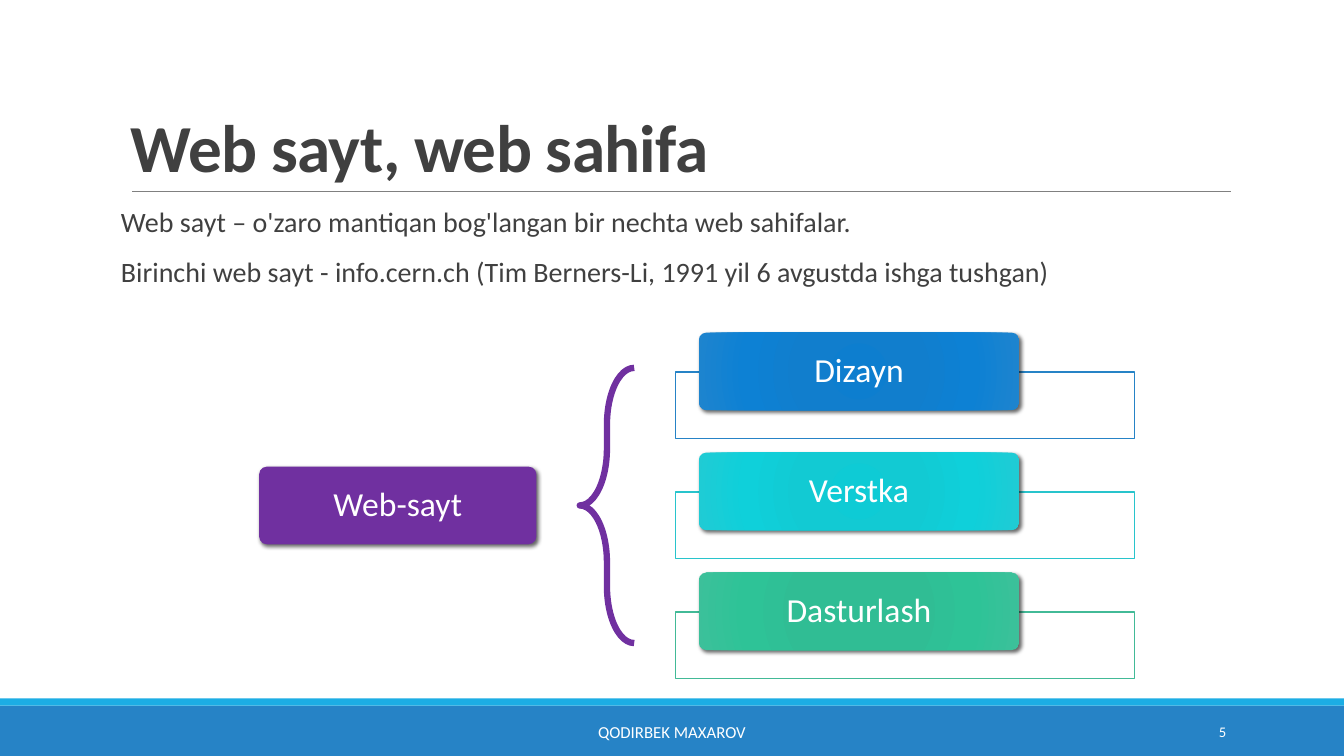
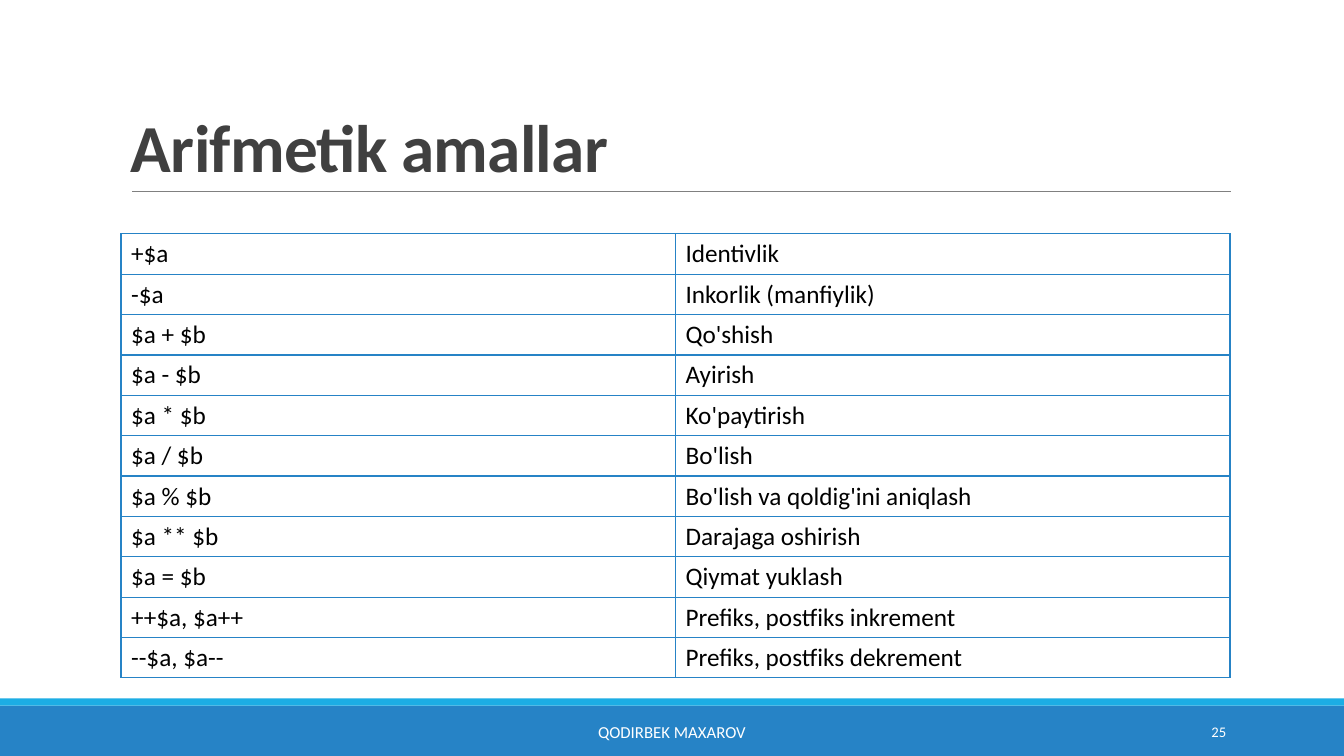
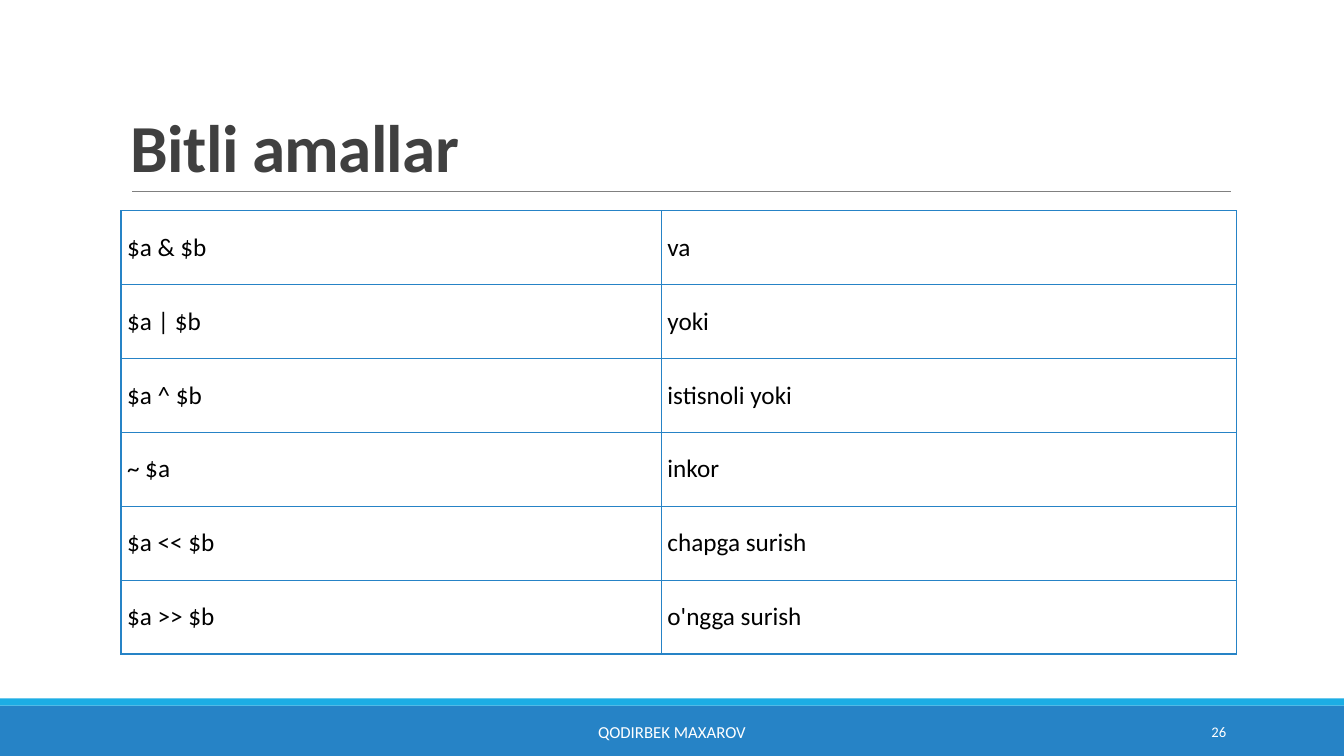
from lxml import etree
from pptx import Presentation
from pptx.dml.color import RGBColor
from pptx.enum.shapes import MSO_CONNECTOR as Link, MSO_SHAPE as Kind
from pptx.enum.text import MSO_ANCHOR as Anchor, PP_ALIGN as Align
from pptx.oxml import parse_xml
from pptx.oxml.ns import qn
from pptx.util import Inches, Pt

WIDE, HIGH = 13.33, 7.5
LEFT, SPAN = 1.2, 11
FONT = "Calibri"
BLUE = RGBColor(0x26, 0x83, 0xC6)
SKY = RGBColor(0x1C, 0xAD, 0xE4)
TEAL = RGBColor(0x28, 0xC4, 0xCC)
GREEN = RGBColor(0x42, 0xBA, 0x97)
PURPLE = RGBColor(0x70, 0x30, 0xA0)
GRAY = RGBColor(0x80, 0x80, 0x80)
DARK = RGBColor(0x40, 0x40, 0x40)
BLACK = RGBColor(0, 0, 0)
WHITE = RGBColor(255, 255, 255)
NS = 'xmlns:a="http://schemas.openxmlformats.org/drawingml/2006/main"'

AUTHOR = "QODIRBEK MAXAROV"
SITE = {
    "title": "Web sayt, web sahifa",
    "page": 5,
    "body": [
        "Web sayt – o'zaro mantiqan bog'langan bir nechta web sahifalar.",
        "Birinchi web sayt - info.cern.ch (Tim Berners-Li, 1991 yil 6 avgustda ishga tushgan)",
    ],
    "root": "Web-sayt",
    # label, frame colour, gradient colours from the centre outwards
    "parts": [
        ("Dizayn", BLUE, ("0D7ECF", "117ECD", "0D81D4", "1E84CE")),
        ("Verstka", TEAL, ("0ECBD5", "12CAD3", "0FD0DA", "20CBD4")),
        ("Dasturlash", GREEN, ("2DBE94", "30BD94", "2EC397", "3CC09A")),
    ],
}
STOPS = (0, 34, 70, 100)
TABLES = [
    {
        "title": "Arifmetik amallar", "page": 25,
        "top": 2.32, "cols": (5.5, 5.5), "row": 0.4, "pad": (0.1, 0.05),
        "rows": [
            ("+$a", "Identivlik"),
            ("-$a", "Inkorlik (manfiylik)"),
            ("$a + $b", "Qo'shish"),
            ("$a - $b", "Ayirish"),
            ("$a * $b", "Ko'paytirish"),
            ("$a / $b", "Bo'lish"),
            ("$a % $b", "Bo'lish va qoldig'ini aniqlash"),
            ("$a ** $b", "Darajaga oshirish"),
            ("$a = $b", "Qiymat yuklash"),
            ("++$a, $a++", "Prefiks, postfiks inkrement"),
            ("--$a, $a--", "Prefiks, postfiks dekrement"),
        ],
    },
    {
        "title": "Bitli amallar", "page": 26,
        "top": 2.09, "cols": (5.36, 5.7), "row": 4.4 / 6, "pad": (0.06, 0.03),
        "rows": [
            ("$a & $b", "va"),
            ("$a | $b", "yoki"),
            ("$a ^ $b", "istisnoli yoki"),
            ("~ $a", "inkor"),
            ("$a << $b", "chapga surish"),
            ("$a >> $b", "o'ngga surish"),
        ],
    },
]


def style(para, size, color, align=Align.LEFT, lead=None):
    font = para.font
    font.name, font.size, font.color.rgb = FONT, Pt(size), color
    para.alignment = align
    if lead:
        para.line_spacing = lead


def write(shape, lines, size, color, align=Align.LEFT, lead=None,
          anchor=Anchor.MIDDLE, pad=(0.1, 0.05)):
    """Fill a shape with styled lines and return its paragraphs."""
    frame = shape.text_frame
    frame.word_wrap, frame.vertical_anchor = True, anchor
    frame.margin_left = frame.margin_right = Inches(pad[0])
    frame.margin_top = frame.margin_bottom = Inches(pad[1])
    frame.text = "\n".join(lines)
    for para in frame.paragraphs:
        style(para, size, color, align, lead)
    return frame.paragraphs


def text(slide, box, *args, **opts):
    shape = slide.shapes.add_textbox(*map(Inches, box))
    return write(shape, *args, **opts)


def draw(slide, kind, box, fill=None, line=None, weight=1):
    shape = slide.shapes.add_shape(kind, *map(Inches, box))
    shape.shadow.inherit = False
    if fill is None:
        shape.fill.background()
    else:
        shape.fill.solid()
        shape.fill.fore_color.rgb = fill
    if line is None:
        shape.line.fill.background()
    else:
        shape.line.color.rgb, shape.line.width = line, Pt(weight)
    return shape


def pill(slide, box, label, fill=None, grad=None):
    """Rounded label with a soft shadow and a plain or radial fill."""
    shape = draw(slide, Kind.ROUNDED_RECTANGLE, box, fill)
    shape.adjustments[0] = 0.1 / 0.77 * 0.77
    props = shape._element.spPr
    if grad:
        stops = "".join(
            f'<a:gs pos="{at * 1000}"><a:srgbClr val="{tone}"/></a:gs>'
            for at, tone in zip(STOPS, grad))
        props.replace(props.find(qn("a:noFill")), parse_xml(
            f'<a:gradFill {NS} rotWithShape="1"><a:gsLst>{stops}</a:gsLst>'
            '<a:path path="circle"><a:fillToRect l="100000" t="100000" '
            'r="100000" b="100000"/></a:path></a:gradFill>'))
    props.find(qn("a:effectLst")).append(parse_xml(
        f'<a:outerShdw {NS} blurRad="{Pt(3)}" dist="{Pt(2)}" dir="2700000" '
        'algn="tl" rotWithShape="0"><a:srgbClr val="000000">'
        '<a:alpha val="60000"/></a:srgbClr></a:outerShdw>'))
    write(shape, [label], 24, WHITE, Align.CENTER, 0.9, pad=(0.12, 0))


def start(deck, title, page):
    """Add a slide with the shared title, rule, bands and footer."""
    slide = deck.slides.add_slide(deck.slide_layouts[6])
    draw(slide, Kind.RECTANGLE, (0, 7, WIDE, 0.5), BLUE)
    draw(slide, Kind.RECTANGLE, (0, 6.93, WIDE, 0.07), SKY)
    rule = slide.shapes.add_connector(
        Link.STRAIGHT, *map(Inches, (1.31, 1.9, 12.21, 1.9)))
    rule.line.color.rgb, rule.line.width = GRAY, Pt(0.5)
    etree.SubElement(rule._element.spPr, qn("a:effectLst"))
    head, = text(slide, (LEFT, 0.31, SPAN, 1.59), [title], 48, DARK,
                 lead=0.85, anchor=Anchor.BOTTOM)
    head.font.bold = True
    head.font._rPr.set("spc", "-50")
    text(slide, (4.03, 7.06, 5.27, 0.4), [AUTHOR], 12, WHITE, Align.CENTER)
    text(slide, (10.83, 7.06, 1.43, 0.4), [str(page)], 10.5, WHITE, Align.RIGHT)
    return slide


def site(deck):
    slide = start(deck, SITE["title"], SITE["page"])
    for para in text(slide, (LEFT, 2.02, SPAN, 4.4), SITE["body"], 20, DARK,
                     lead=0.9, anchor=Anchor.TOP, pad=(0, 0.05)):
        para.space_before, para.space_after = Pt(12), Pt(2)
    for i, (label, color, grad) in enumerate(SITE["parts"]):
        top = 3.3 + 1.19 * i
        draw(slide, Kind.RECTANGLE, (6.7, top + 0.39, 4.55, 0.66), WHITE, color)
        pill(slide, (6.93, top, 3.18, 0.77), label, grad=grad)
    pill(slide, (2.57, 4.63, 2.75, 0.77), SITE["root"], PURPLE)
    brace = draw(slide, Kind.LEFT_BRACE, (5.75, 3.65, 0.54, 2.73),
                 line=PURPLE, weight=4.5)
    brace.adjustments[0], brace.adjustments[1] = 1.045, 0.5


def border(cell):
    props = cell._tc.get_or_add_tcPr()
    for side in ("lnL", "lnR", "lnT", "lnB"):
        props.append(parse_xml(
            f'<a:{side} {NS} w="{Pt(1)}"><a:solidFill><a:srgbClr val="{BLUE}"/>'
            f'</a:solidFill></a:{side}>'))


def grid(deck, data):
    slide = start(deck, data["title"], data["page"])
    rows, cols = data["rows"], data["cols"]
    box = (LEFT, data["top"], sum(cols), data["row"] * len(rows))
    table = slide.shapes.add_table(
        len(rows), len(cols), *map(Inches, box)).table
    table.first_row = table.horz_banding = False
    for col, width in zip(table.columns, cols):
        col.width = Inches(width)
    across, down = map(Inches, data["pad"])
    for r, row in enumerate(rows):
        table.rows[r].height = Inches(data["row"])
        for c, word in enumerate(row):
            cell = table.cell(r, c)
            cell.text, cell.vertical_anchor = word, Anchor.MIDDLE
            cell.margin_left = cell.margin_right = across
            cell.margin_top = cell.margin_bottom = down
            style(cell.text_frame.paragraphs[0], 18, BLACK)
            border(cell)
            cell.fill.background()


def main():
    deck = Presentation()
    deck.slide_width, deck.slide_height = Inches(WIDE), Inches(HIGH)
    site(deck)
    for data in TABLES:
        grid(deck, data)
    deck.save("out.pptx")


if __name__ == "__main__":
    main()
